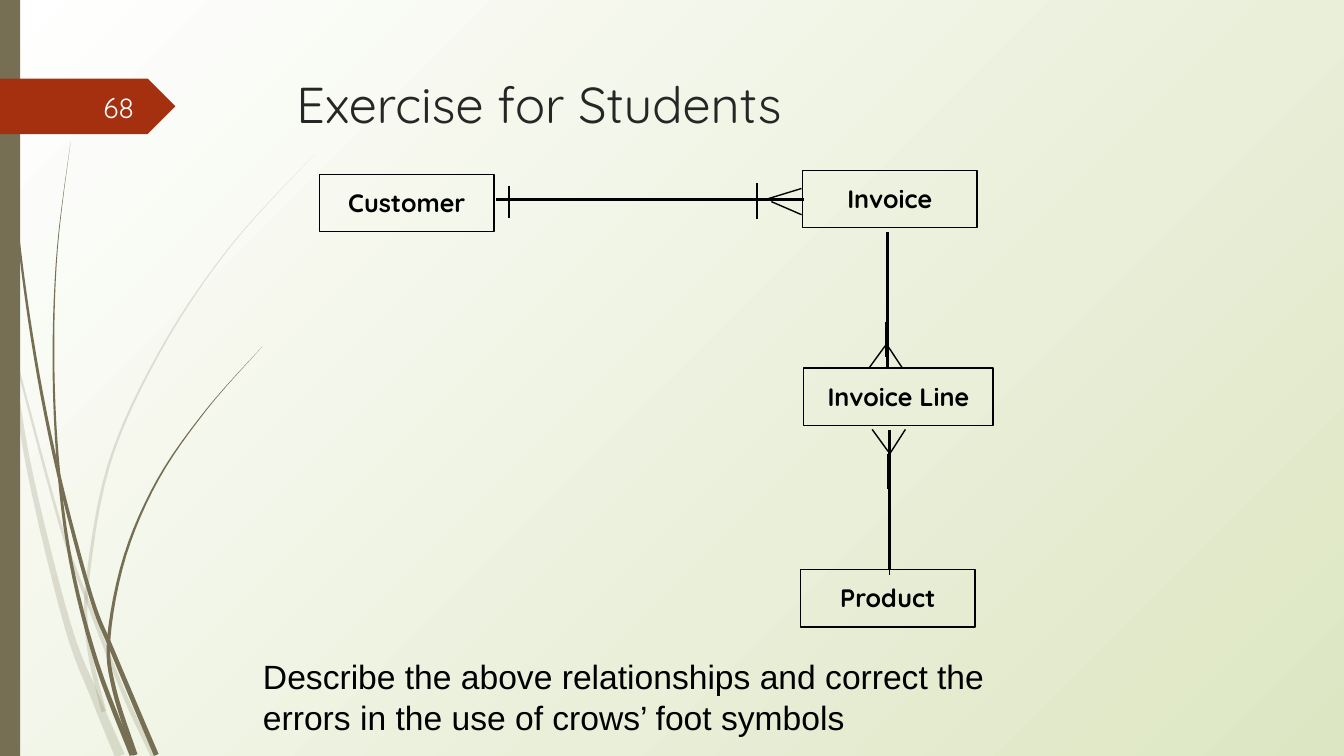
import math

from lxml import etree
from pptx import Presentation
from pptx.dml.color import RGBColor
from pptx.enum.shapes import MSO_CONNECTOR, MSO_SHAPE
from pptx.enum.text import MSO_ANCHOR, PP_ALIGN
from pptx.oxml.ns import qn
from pptx.util import Inches, Pt

RECTANGLE = MSO_SHAPE.RECTANGLE
PENTAGON = MSO_SHAPE.PENTAGON
STRAIGHT = MSO_CONNECTOR.STRAIGHT
TOP, MIDDLE = MSO_ANCHOR.TOP, MSO_ANCHOR.MIDDLE
LEFT, CENTER, RIGHT = PP_ALIGN.LEFT, PP_ALIGN.CENTER, PP_ALIGN.RIGHT
OLIVE, RUST, BLACK = "766F54", "A53010", "000000"
CURVE_STEPS = 6

# Grass blades: opacity, width at tip and root, points along the middle
BLADES = [
    (20, .02, .1, [(0, 2.9), (.1, 3.47), (.3, 4.7), (.67, 6.2), (.95, 6.93), (1.19, 7.5)]),
    (20, .02, .05, [(.14, 3.5), (.6, 5.21), (.89, 6.02), (1.25, 6.93), (1.52, 7.5)]),
    (20, 0, .05, [(3.12, 1.53), (2.28, 2.45), (1.59, 3.48), (1.08, 4.61), (.86, 5.85), (.89, 6.46), (1.03, 7.06)]),
    (100, .01, .05, [(.04, 0), (.08, 1.1), (.18, 2.33), (.35, 3.55), (.58, 4.7), (.9, 5.91), (1.12, 6.47), (1.55, 7.49)]),
    (100, 0, .05, [(.7, 1.41), (.57, 2.45), (.53, 3.49), (.57, 4.53), (.7, 5.56), (.96, 6.58), (1.31, 7.49)]),
    (100, 0, .05, [(2.6, 3.44), (2.05, 4.06), (1.57, 4.75), (1.24, 5.51), (1.08, 6.32), (1.13, 6.83), (1.34, 7.49)]),
]


def color(hex_code):
    return RGBColor.from_string(hex_code)


def write(shape, text, size, font_name, hex_code, align=LEFT, anchor=TOP, bold=False):
    text_frame = shape.text_frame
    text_frame.text = text
    text_frame.word_wrap = True
    text_frame.vertical_anchor = anchor
    paragraph = text_frame.paragraphs[0]
    paragraph.alignment = align
    font = paragraph.runs[0].font
    font.name, font.size, font.bold = font_name, Pt(size), bold
    font.color.rgb = color(hex_code)


presentation = Presentation()
presentation.slide_width, presentation.slide_height = Inches(13.33), Inches(7.5)
slide = presentation.slides.add_slide(presentation.slide_layouts[5])
shapes = slide.shapes

# Background gradient spreading from the top left corner
background = slide.background.fill
background.gradient()
for stop, hex_code in zip(background.gradient_stops, ("FFFFFF", "DDE6C3")):
    stop.color.rgb = color(hex_code)
linear = slide.element.find(".//" + qn("a:lin"))
radial = etree.Element(qn("a:path"), path="circle")
etree.SubElement(radial, qn("a:fillToRect"), r="100000", b="100000")
linear.getparent().replace(linear, radial)

# Grass blades: a smooth curve through the points, widened towards the root
for opacity, tip_width, root_width, points in BLADES:
    padded = [points[0], *points, points[-1]]
    spine = []
    for a, b, c, d in zip(padded, padded[1:], padded[2:], padded[3:]):
        for step in range(CURVE_STEPS):
            t = step / CURVE_STEPS
            spine.append([q + t * (r - p) / 2 + t * t * (p - 2.5 * q + 2 * r - s / 2)
                          + t ** 3 * (1.5 * (q - r) + (s - p) / 2) for p, q, r, s in zip(a, b, c, d)])
    spine.append(points[-1])
    right_edge, left_edge = [], []
    for i, (x, y) in enumerate(spine):
        before, after = spine[max(i - 1, 0)], spine[min(i + 1, len(spine) - 1)]
        run, rise = after[0] - before[0], after[1] - before[1]
        half = (tip_width + (root_width - tip_width) * i / (len(spine) - 1)) / 2 / math.hypot(run, rise)
        right_edge.append((Inches(x + rise * half), Inches(y - run * half)))
        left_edge.append((Inches(x - rise * half), Inches(y + run * half)))
    builder = shapes.build_freeform(*right_edge[0])
    builder.add_line_segments(right_edge[1:] + left_edge[::-1])
    blade = builder.convert_to_shape()
    blade.shadow.inherit = False
    blade.fill.solid()
    blade.fill.fore_color.rgb = color(OLIVE)
    blade.line.fill.background()
    fill_color = blade.element.spPr.find(qn("a:solidFill"))[0]
    etree.SubElement(fill_color, qn("a:alpha"), val=str(opacity * 1000))

# Left band and slide number arrow
for preset, top, width, height, hex_code in ((RECTANGLE, 0, .2, 7.5, OLIVE), (PENTAGON, .78, 1.74, .55, RUST)):
    panel = shapes.add_shape(preset, 0, Inches(top), Inches(width), Inches(height))
    panel.shadow.inherit = False
    panel.fill.solid()
    panel.fill.fore_color.rgb = color(hex_code)
    panel.line.fill.background()

# Title, slide number and task
title = shapes.title
title.left, title.top, title.width, title.height = Inches(2.84), Inches(.68), Inches(9.75), Inches(1.4)
write(title, "Exercise for Students", 36, "Quicksand", "262626")
number = shapes.add_textbox(Inches(.58), Inches(.86), Inches(.85), Inches(.4))
write(number, "68", 20, "Quicksand", "FEFFFF", RIGHT, MIDDLE)
task = shapes.add_textbox(Inches(2.51), Inches(6.46), Inches(7.62), Inches(.91))
write(task, "Describe the above relationships and correct the errors in the use of crows’ foot symbols",
      24, "Arial", BLACK)

# Entities
for name, left, top, width in (("Customer", 3.17, 1.73, 1.73), ("Invoice", 7.96, 1.69, 1.73),
                               ("Invoice Line", 7.97, 3.65, 1.88), ("Product", 7.94, 5.65, 1.73)):
    entity = shapes.add_shape(RECTANGLE, Inches(left), Inches(top), Inches(width), Inches(.57))
    entity.shadow.inherit = False
    entity.fill.background()
    entity.line.color.rgb = color(BLACK)
    entity.line.width = Pt(1)
    entity.text_frame.margin_top = entity.text_frame.margin_bottom = Inches(.13)
    write(entity, name, 18, "Quicksand", BLACK, CENTER, TOP, True)

# Relationships, then their bars and crow's feet
relationships = [(4.92, 1.98, 7.97, 1.98), (8.8, 2.3, 8.8, 3.65), (8.82, 4.27, 8.82, 5.65)]
bars = [(x, top, x, top + .35) for x, top in ((7.51, 1.82), (8.78, 3.19), (8.79, 2.36), (8.82, 5.35), (8.8, 4.5))]
bars.append((5.05, 1.85, 5.05, 2.16))
toes = [(7.59, 1.98, 7.95, 1.87), (7.65, 2, 7.95, 2.13), (8.78, 3.43, 8.62, 3.65),
        (8.79, 3.41, 8.95, 3.65), (8.81, 4.48, 8.65, 4.26), (8.82, 4.51, 8.98, 4.26)]
for lines, weight in ((relationships, 2.25), (bars + toes, 1)):
    for ends in lines:
        connector = shapes.add_connector(STRAIGHT, *map(Inches, ends))
        connector.line.color.rgb = color(BLACK)
        connector.line.width = Pt(weight)
        etree.SubElement(connector.element.spPr, qn("a:effectLst"))

presentation.save("out.pptx")
